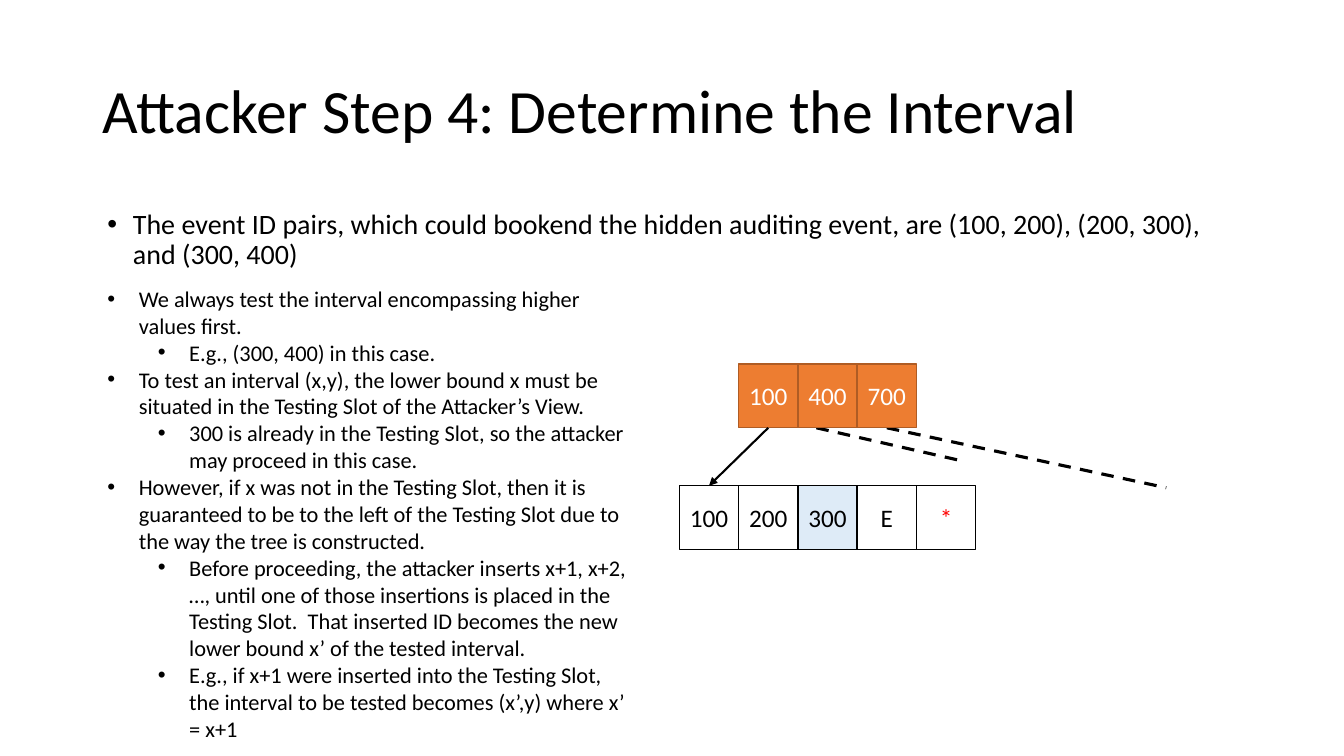
from dataclasses import dataclass

from pptx import Presentation
from pptx.dml.color import RGBColor
from pptx.enum.dml import MSO_LINE
from pptx.enum.shapes import MSO_CONNECTOR, MSO_SHAPE
from pptx.enum.text import MSO_ANCHOR, PP_ALIGN
from pptx.oxml.ns import qn
from pptx.util import Cm, Pt
from lxml import etree

RECT = MSO_SHAPE.RECTANGLE
STRAIGHT = MSO_CONNECTOR.STRAIGHT
DASH = MSO_LINE.DASH
TOP, MIDDLE = MSO_ANCHOR.TOP, MSO_ANCHOR.MIDDLE
CENTER = PP_ALIGN.CENTER


@dataclass(frozen=True)
class Theme:
    font: str = "Calibri"
    ink: str = "000000"
    paper: str = "FFFFFF"
    root: str = "ED7D31"
    root_edge: str = "AF5C24"
    slot: str = "DEEBF7"
    alert: str = "FF0000"
    title: int = 44
    lead: int = 20
    cell: int = 18
    note: int = 16


THEME = Theme()

TITLE = "Attacker Step 4: Determine the Interval"
LEAD = ("The event ID pairs, which could bookend the hidden auditing event, "
        "are (100, 200), (200, 300), and (300, 400)")
# Level and text of each note
NOTES = [
    (0, "We always test the interval encompassing higher values first."),
    (1, "E.g., (300, 400) in this case."),
    (0, "To test an interval (x,y), the lower bound x must be situated in the "
        "Testing Slot of the Attacker’s View."),
    (1, "300 is already in the Testing Slot, so the attacker may proceed in this case."),
    (0, "However, if x was not in the Testing Slot, then it is guaranteed to be to "
        "the left of the Testing Slot due to the way the tree is constructed."),
    (1, "Before proceeding, the attacker inserts x+1, x+2, …, until one of those "
        "insertions is placed in the Testing Slot.  That inserted ID becomes the "
        "new lower bound x’ of the tested interval."),
    (1, "E.g., if x+1 were inserted into the Testing Slot, the interval to be "
        "tested becomes (x’,y) where x’ = x+1"),
]
ROOT_KEYS = ["100", "400", "700"]
LEAF_KEYS = ["100", "200", "300", "E", "*"]
TESTING_SLOT = 2


def rgb(color):
    return RGBColor.from_string(color)


def write(p, text, size, color=THEME.ink, align=None, spacing=None,
          indent=None, hang=0, level=0):
    """Fill one paragraph; an indent in cm gives it a bullet."""
    p.level = level
    if indent is not None:
        pPr = p._p.get_or_add_pPr()
        pPr.set("marL", str(Cm(indent)))
        pPr.set("indent", str(-Cm(hang)))
        etree.SubElement(pPr, qn("a:buFont")).set("typeface", "Arial")
        etree.SubElement(pPr, qn("a:buChar")).set("char", "•")
    p.alignment = align
    p.line_spacing = spacing
    r = p.add_run()
    r.text = text
    r.font.name, r.font.size = THEME.font, Pt(size)
    r.font.color.rgb = rgb(color)


def text_frame(s, box, anchor=TOP):
    tf = s.shapes.add_textbox(*map(Cm, box)).text_frame
    tf.word_wrap = True
    tf.vertical_anchor = anchor
    return tf


def add_line(s, start, end, width, dash=None, arrow=False):
    line = s.shapes.add_connector(STRAIGHT, *map(Cm, (*start, *end)))
    line.line.color.rgb = rgb(THEME.ink)
    line.line.width = Pt(width)
    if dash is not None:
        line.line.dash_style = dash
    if arrow:
        ln = line.line._get_or_add_ln()
        etree.SubElement(ln, qn("a:tailEnd")).set("type", "triangle")
    etree.SubElement(line._element.spPr, qn("a:effectLst"))


def add_cell(s, box, text, fill, edge, color):
    sp = s.shapes.add_shape(RECT, *map(Cm, box))
    sp.shadow.inherit = False
    sp.fill.solid()
    sp.fill.fore_color.rgb = rgb(fill)
    sp.line.color.rgb = rgb(edge)
    sp.line.width = Pt(1)
    tf = sp.text_frame
    tf.margin_left = tf.margin_right = 0
    tf.vertical_anchor = MIDDLE
    write(tf.paragraphs[0], text, THEME.cell, color, align=CENTER)


def add_title(s, box):
    tf = text_frame(s, box, MIDDLE)
    write(tf.paragraphs[0], TITLE, THEME.title, spacing=0.9)


def add_lead(s, box):
    tf = text_frame(s, box)
    write(tf.paragraphs[0], LEAD, THEME.lead, spacing=0.9, indent=0.64, hang=0.64)


def add_notes(s, box):
    tf = text_frame(s, box)
    for i, (level, text) in enumerate(NOTES):
        p = tf.add_paragraph() if i else tf.paragraphs[0]
        write(p, text, THEME.note, indent=0.79 + 1.27 * level, hang=0.79, level=level)


def add_tree(s, box):
    """Root node over its first leaf, with pointers to the children."""
    x, y, w, h = box
    cell_w, cell_h = w / len(LEAF_KEYS), 1.61
    root_x, root_bottom = x + cell_w, y + cell_h
    leaf_y = y + h - cell_h

    # Pointers to the children out of view
    add_line(s, (root_x + 1.96, root_bottom), (x + 7.19, y + 2.46), 2.25, dash=DASH)
    add_line(s, (root_x + 2.5 * cell_w, root_bottom), (x + 12.27, leaf_y + 0.05),
             2.25, dash=DASH)

    # Leaf, with the testing slot tinted
    for i, key in enumerate(LEAF_KEYS):
        add_cell(s, (x + i * cell_w, leaf_y, cell_w, cell_h), key,
                 THEME.slot if i == TESTING_SLOT else THEME.paper, THEME.ink,
                 THEME.alert if key == "*" else THEME.ink)

    # Root
    for i, key in enumerate(ROOT_KEYS):
        add_cell(s, (root_x + i * cell_w, y, cell_w, cell_h), key,
                 THEME.root, THEME.root_edge, THEME.paper)

    # Pointer to the leaf
    add_line(s, (root_x + cell_w / 2, root_bottom), (x + cell_w / 2, leaf_y),
             1.5, arrow=True)


def main():
    prs = Presentation()
    prs.slide_width, prs.slide_height = Cm(33.87), Cm(19.05)
    s = prs.slides.add_slide(prs.slide_layouts[6])
    add_title(s, (2.33, 1.01, 29.21, 3.68))
    add_lead(s, (2.46, 5.18, 29.21, 1.8))
    add_tree(s, (17.12, 9.17, 7.47, 4.68))
    add_notes(s, (2.46, 7.06, 13.74, 11.89))
    prs.save("out.pptx")


if __name__ == "__main__":
    main()
